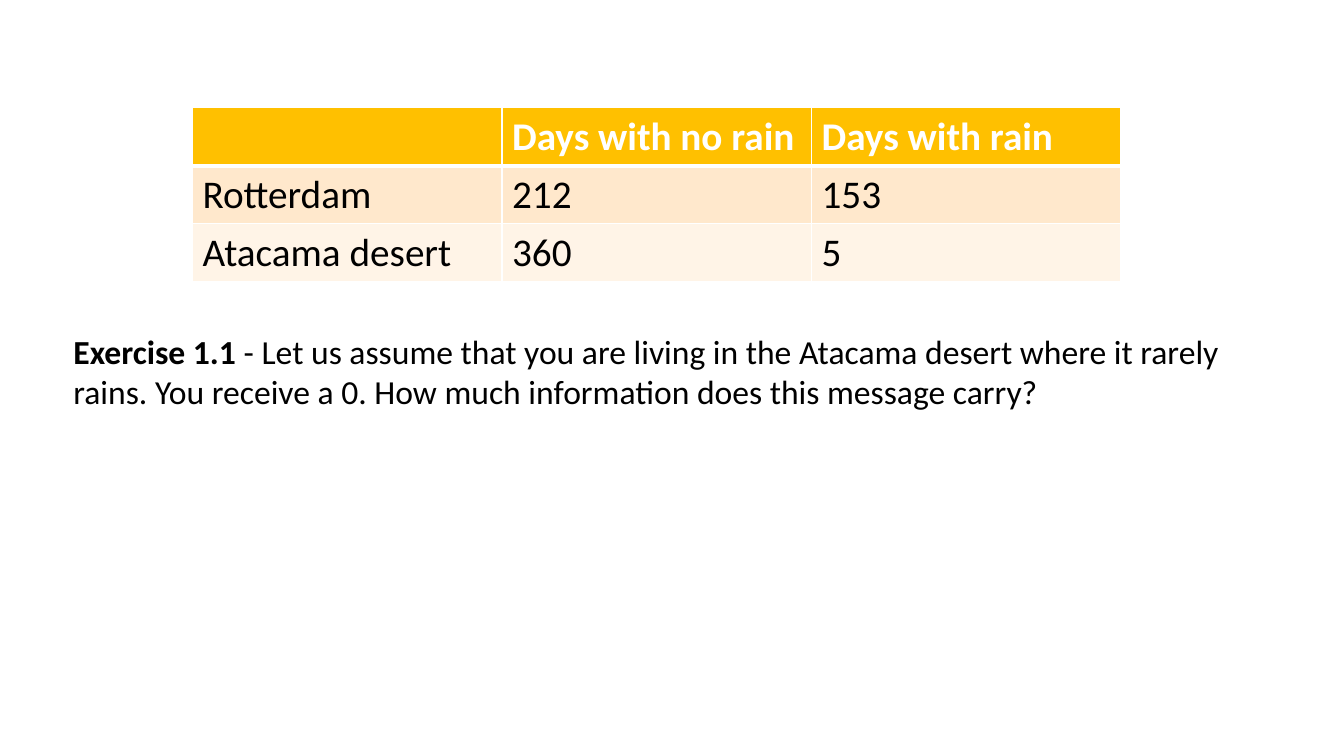
from dataclasses import dataclass

from lxml.etree import SubElement
from pptx import Presentation
from pptx.dml.color import RGBColor
from pptx.enum.text import MSO_AUTO_SIZE
from pptx.oxml.ns import qn
from pptx.util import Inches, Pt


@dataclass(frozen=True)
class Theme:
    font: str = "Calibri"
    table_size: int = 28
    text_size: int = 24
    text: str = "000000"
    header_text: str = "FFFFFF"
    header_fill: str = "FFC000"
    row_fills: tuple = ("FFE8CC", "FFF4E7")
    border: str = "FFFFFF"
    thin: int = 1
    thick: int = 3


class SlideBuilder:
    def __init__(self, slide, theme):
        self.slide = slide
        self.theme = theme

    def style(self, font, size, color, bold=False):
        font.name = self.theme.font
        font.size = Pt(size)
        font.bold = bold
        font.color.rgb = RGBColor.from_string(color)

    def add_borders(self, cell, top, bottom):
        """Draw the four cell borders; must run before the cell is filled."""
        properties = cell._tc.get_or_add_tcPr()
        thin = self.theme.thin
        for side, width in (("L", thin), ("R", thin), ("T", top), ("B", bottom)):
            line = SubElement(properties, qn(f"a:ln{side}"), w=str(Pt(width)))
            fill = SubElement(line, qn("a:solidFill"))
            SubElement(fill, qn("a:srgbClr"), val=self.theme.border)

    def add_table(self, rows, left, top, column_width, row_height):
        theme = self.theme
        row_count, column_count = len(rows), len(rows[0])
        table = self.slide.shapes.add_table(
            row_count, column_count, Inches(left), Inches(top),
            Inches(column_width * column_count), Inches(row_height * row_count),
        ).table
        for row_index, values in enumerate(rows):
            is_header = row_index == 0
            fill = theme.header_fill if is_header else theme.row_fills[(row_index - 1) % 2]
            color = theme.header_text if is_header else theme.text
            top_width = theme.thick if row_index == 1 else theme.thin
            bottom_width = theme.thick if is_header else theme.thin
            for column_index, value in enumerate(values):
                cell = table.cell(row_index, column_index)
                self.add_borders(cell, top_width, bottom_width)
                cell.fill.solid()
                cell.fill.fore_color.rgb = RGBColor.from_string(fill)
                cell.text = value
                paragraph = cell.text_frame.paragraphs[0]
                self.style(paragraph.font, theme.table_size, color, is_header)

    def add_exercise(self, label, question, left, top, width, height):
        shape = self.slide.shapes.add_textbox(
            Inches(left), Inches(top), Inches(width), Inches(height))
        frame = shape.text_frame
        frame.word_wrap = True
        frame.auto_size = MSO_AUTO_SIZE.SHAPE_TO_FIT_TEXT
        paragraph = frame.paragraphs[0]
        for text, bold in ((label, True), (question, False)):
            run = paragraph.add_run()
            run.text = text
            self.style(run.font, self.theme.text_size, self.theme.text, bold)


def main():
    presentation = Presentation()
    presentation.slide_width = Inches(13.33)
    presentation.slide_height = Inches(7.5)
    blank_layout = presentation.slide_layouts[6]
    builder = SlideBuilder(presentation.slides.add_slide(blank_layout), Theme())

    rain_days = [
        ("", "Days with no rain", "Days with rain"),
        ("Rotterdam", "212", "153"),
        ("Atacama desert", "360", "5"),
    ]
    builder.add_table(rain_days, left=1.91, top=1.07, column_width=3.07, row_height=0.57)
    builder.add_exercise(
        "Exercise 1.1 ",
        "- Let us assume that you are living in the Atacama desert where it rarely rains. "
        "You receive a 0. How much information does this message carry?",
        left=0.63, top=3.23, width=12.1, height=0.91,
    )
    presentation.save("out.pptx")


if __name__ == "__main__":
    main()
